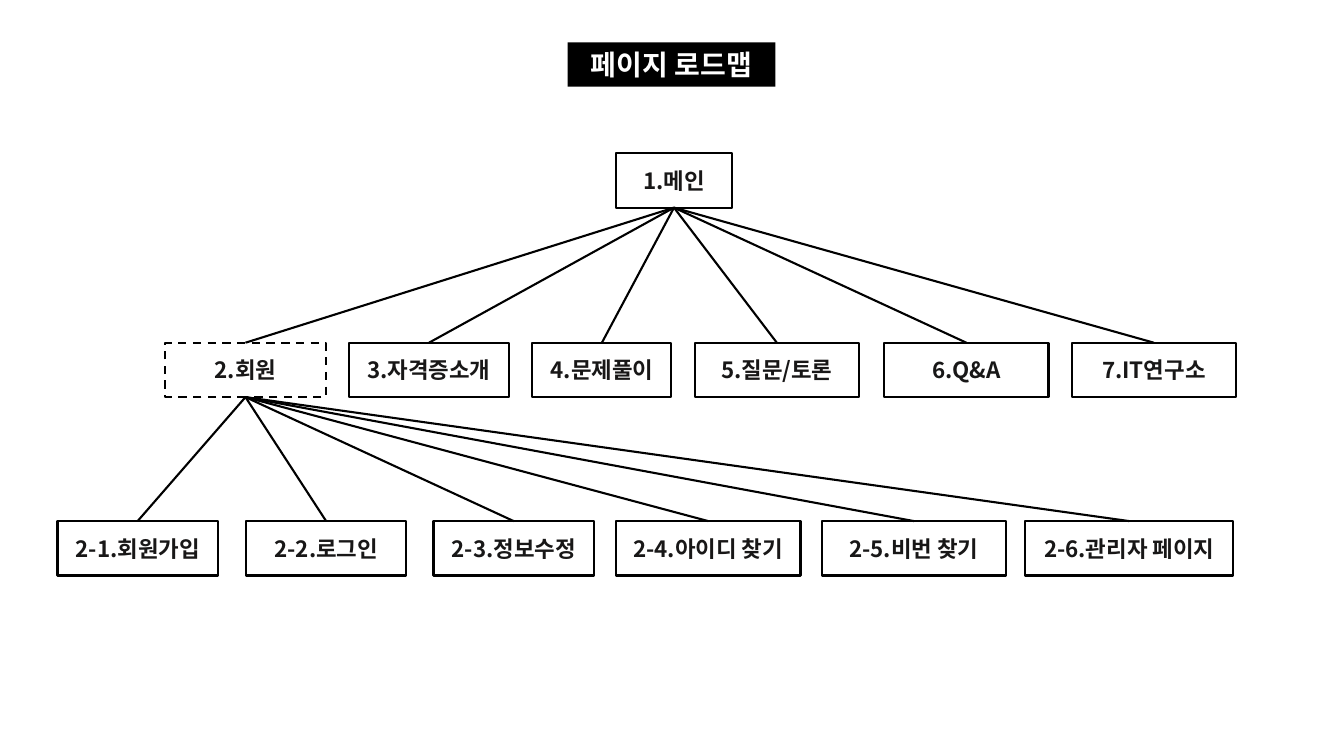
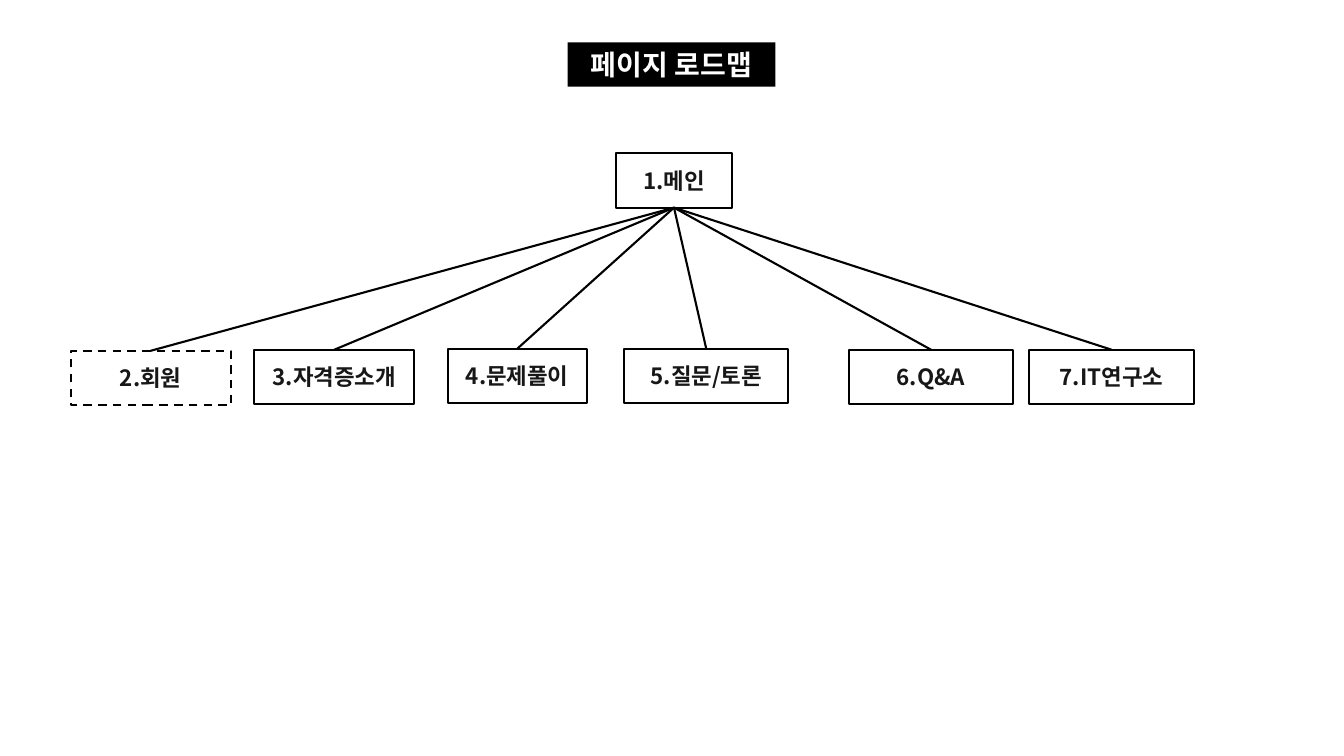
from lxml import etree
from pptx import Presentation
from pptx.dml.color import RGBColor
from pptx.enum import dml, shapes, text
from pptx.oxml import ns
from pptx.util import Inches, Pt

FONT = "Noto Sans CJK KR"
COLORS = {"black": "000000", "white": "FFFFFF", "ink": "181717"}
TOP, LEFT_OUT, BOTTOM = 0, 1, 2
TALL = 0.54

MAIN = ("1.메인", 1.15)
MENU = [("2.회원", 1.59), ("3.자격증소개", 1.59), ("4.문제풀이", 1.38),
        ("5.질문/토론", 1.63), ("6.Q&A", 1.63), ("7.IT연구소", 1.63)]
MEMBER = [("2-1.회원가입", 1.59), ("2-2.로그인", 1.59), ("2-3.정보수정", 1.59),
          ("2-4.아이디 찾기", 1.83), ("2-5.비번 찾기", 1.83),
          ("2-6.관리자 페이지", 2.06)]


def color(name):
    return RGBColor.from_string(COLORS[name])


def write(shape, words, size, tint):
    """Set one centred bold line in the middle of a shape."""
    frame = shape.text_frame
    frame.word_wrap = True
    frame.auto_size = text.MSO_AUTO_SIZE.NONE
    frame.vertical_anchor = text.MSO_ANCHOR.MIDDLE
    line = frame.paragraphs[0]
    line.alignment = text.PP_ALIGN.CENTER
    run = line.add_run()
    run.text = words
    font = run.font
    font.name, font.size, font.bold = FONT, Pt(size), True
    font.color.rgb = color(tint)
    east = etree.SubElement(run._r.get_or_add_rPr(), ns.qn("a:ea"))
    east.set("typeface", FONT)


def outline(line):
    line.color.rgb = color("black")
    line.width = Pt(1.5)


def add_title(slide, words):
    title = slide.shapes.title
    title.left, title.top = Inches(5.63), Inches(0.42)
    title.width, title.height = Inches(2.06), Inches(0.44)
    title.fill.solid()
    title.fill.fore_color.rgb = color("black")
    write(title, words, 20, "white")


def add_page(slide, page, x, y):
    label, wide = page
    box = slide.shapes.add_shape(shapes.MSO_SHAPE.RECTANGLE, Inches(x),
                                 Inches(y), Inches(wide), Inches(TALL))
    box.shadow.inherit = False
    box.fill.background()
    outline(box.line)
    write(box, label, 16, "ink")
    return box


def link(slide, parent, child):
    """Join the bottom of the parent to the top of the child."""
    line = slide.shapes.add_connector(shapes.MSO_CONNECTOR.STRAIGHT, 0, 0, 0, 0)
    line.begin_connect(parent, BOTTOM)
    line.end_connect(child, TOP)
    outline(line.line)
    etree.SubElement(line._element.spPr, ns.qn("a:effectLst"))


def add_level(slide, parent, pages, spots):
    """Place a row of pages at (x, y) spots, each linked to the parent."""
    boxes = [add_page(slide, page, x, y) for page, (x, y) in zip(pages, spots)]
    for box in boxes:
        link(slide, parent, box)
    return boxes


def add_map(deck, spots):
    """Add a slide with the main page and its menu; return the member box."""
    slide = deck.slides.add_slide(deck.slide_layouts.get_by_name("Title Only"))
    add_title(slide, "페이지 로드맵")
    main_box = add_page(slide, MAIN, 6.11, 1.52)
    member = add_level(slide, main_box, MENU, spots)[0]
    member.line.dash_style = dml.MSO_LINE.DASH
    return slide, member


def main():
    deck = Presentation()
    deck.slide_width, deck.slide_height = Inches(13.33), Inches(7.5)

    slide, member = add_map(
        deck, [(x, 3.4) for x in (1.64, 3.46, 5.28, 6.89, 8.77, 10.63)])
    add_level(slide, member, MEMBER,
              [(x, 5.17) for x in (0.57, 2.44, 4.3, 6.11, 8.15, 10.17)])

    add_map(deck, [(0.7, 3.48), (2.52, 3.47), (4.44, 3.46),
                   (6.19, 3.46), (8.42, 3.47), (10.21, 3.47)])
    deck.save("out.pptx")


if __name__ == "__main__":
    main()
